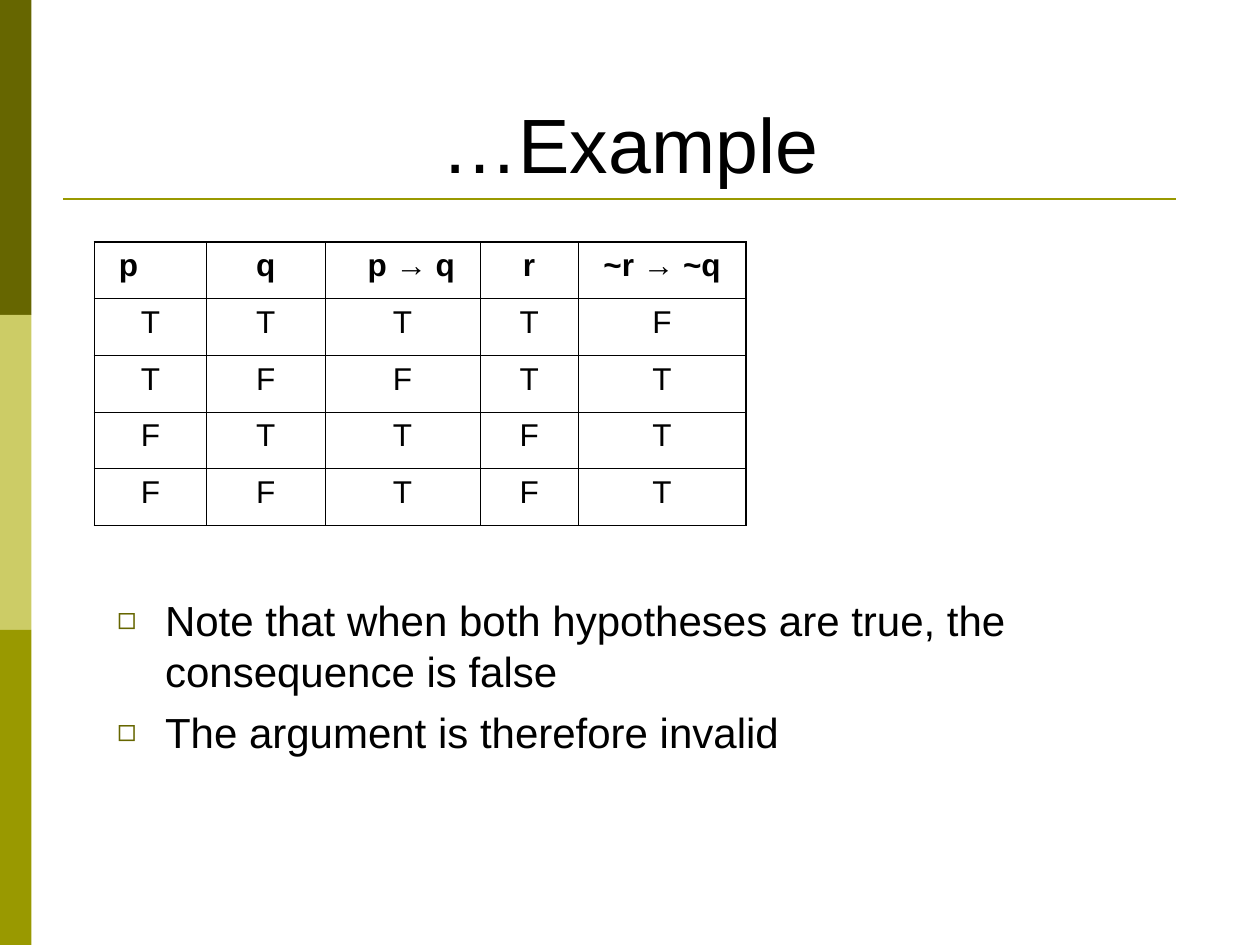
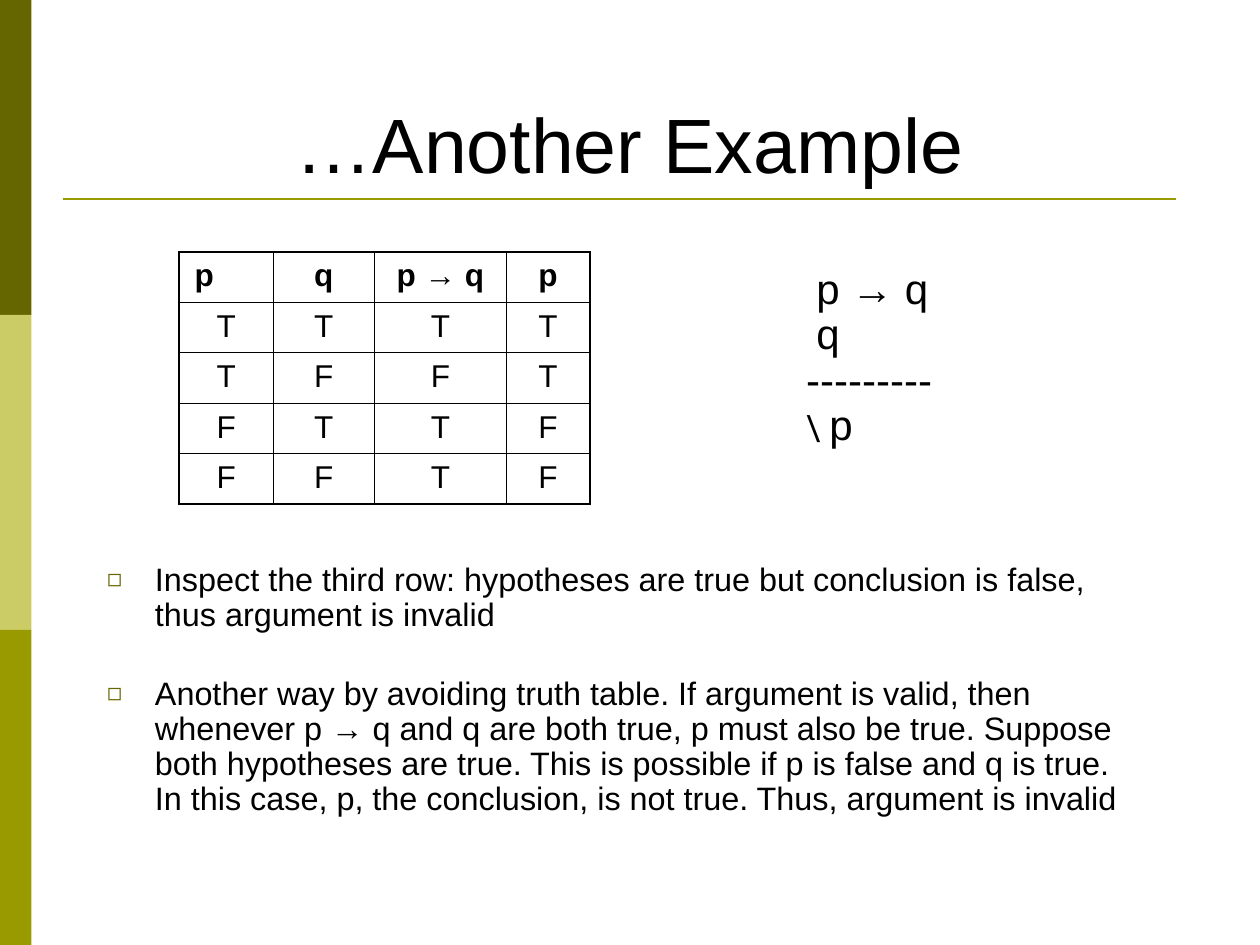
from lxml import etree
from pptx import Presentation
from pptx.dml.color import RGBColor
from pptx.enum.shapes import MSO_CONNECTOR as Connector, MSO_SHAPE as Shape
from pptx.enum.text import MSO_ANCHOR as Anchor, MSO_AUTO_SIZE as AutoSize, PP_ALIGN as Align
from pptx.oxml.ns import qn
from pptx.util import Inches, Pt

# Shared style
FONT, BLACK, OLIVE = "Arial", "000000", "999900"
BULLET_COLOR = "666600"
BANDS = ["666600", "CCCC66", OLIVE]
BAND_WIDTH, BAND_HEIGHT = 0.25, 2.5
TITLE_AREA = (0.5, 0.3, 9, 1.25)
HANGING = 0.38
OUTER_LINE, INNER_LINE = 1.08, 0.45
CELL_MARGIN = 0.1

# Content; "nudges" gives extra (left, right) margins for header cells by column
SLIDES = [
    {
        "title": "…Example",
        "table": {
            "corner": (0.75, 1.92),
            "widths": [0.89, 0.94, 1.23, 0.78, 1.33],
            "row_height": 0.45,
            "header": ["p", "q", "p → q", "r", "~r → ~q"],
            "rows": ["TTTTF", "TFFTT", "FTTFT", "FFTFT"],
            "nudges": {0: (0, 0.35), 2: (0.14, 0)},
        },
        "list": {
            "area": (0.83, 4.67, 8.42, 1.67),
            "size": 24, "line_spacing": 1, "gap": 6,
            "items": [
                "Note that when both hypotheses are true, the consequence is false",
                "The argument is therefore invalid",
            ],
        },
    },
    {
        "title": "…Another Example",
        "table": {
            "corner": (1.42, 2),
            "widths": [0.75, 0.8, 1.05, 0.66],
            "row_height": 0.4,
            "header": ["p", "q", "p → q", "p"],
            "rows": ["TTTT", "TFFT", "FTTF", "FFTF"],
            "nudges": {0: (0, 0.35)},
        },
        "list": {
            "area": (0.75, 4.42, 8.42, 2.75),
            "size": 18.5, "line_spacing": 0.9, "gap": 25,
            "items": [
                "Inspect the third row: hypotheses are true but conclusion is false, "
                "thus argument is invalid",
                "Another way by avoiding truth table. If argument is valid, then whenever "
                "p → q and q are both true, p must also be true. Suppose both hypotheses "
                "are true. This is possible if p is false and q is true. In this case, p, "
                "the conclusion, is not true. Thus, argument is invalid",
            ],
        },
        # Each line: indent, then spans of (text, font, size)
        "argument": {
            "area": (5.92, 2.08, 2.25, 1.83),
            "lines": [
                (0.46, [("p → q", FONT, 24)]),
                (0.46, [("q", FONT, 24)]),
                (0.38, [("---------", FONT, 24)]),
                (0.38, [("\\ ", "Roboto", 20), ("p", FONT, 24)]),
            ],
        },
    },
]


def rgb(color):
    return RGBColor.from_string(color)


def place(shape, area):
    shape.left, shape.top, shape.width, shape.height = map(Inches, area)


def set_font(font, size, name=FONT, bold=False):
    font.name, font.size, font.bold = name, Pt(size), bold
    font.color.rgb = rgb(BLACK)


def add_child(parent, tag, **attributes):
    return etree.SubElement(parent, qn(tag), **attributes)


def set_indent(para, left, first=0.0):
    properties = para._p.get_or_add_pPr()
    properties.set("marL", str(Inches(left)))
    properties.set("indent", str(Inches(first)))
    return properties


def add_bullet(para):
    properties = set_indent(para, HANGING, -HANGING)
    color = add_child(properties, "a:buClr")
    add_child(color, "a:srgbClr", val=BULLET_COLOR)
    add_child(properties, "a:buSzPct", val="75000")
    add_child(properties, "a:buChar", char="◻")


def add_frame(slide):
    # Side bands and the rule under the title
    for index, color in enumerate(BANDS):
        band = slide.shapes.add_shape(
            Shape.RECTANGLE, 0, Inches(index * BAND_HEIGHT),
            Inches(BAND_WIDTH), Inches(BAND_HEIGHT))
        band.shadow.inherit = False
        band.fill.solid()
        band.fill.fore_color.rgb = rgb(color)
        band.line.fill.background()
    rule = slide.shapes.add_connector(
        Connector.STRAIGHT, Inches(0.5), Inches(1.58), Inches(9.33), Inches(1.58))
    rule.line.color.rgb = rgb(OLIVE)
    rule.line.width = Pt(1.5)
    add_child(rule._element.spPr, "a:effectLst")


def add_title(slide, text):
    title = slide.shapes.title
    place(title, TITLE_AREA)
    frame = title.text_frame
    frame.text = text
    frame.auto_size = AutoSize.NONE
    frame.vertical_anchor = Anchor.BOTTOM
    para = frame.paragraphs[0]
    para.alignment = Align.CENTER
    set_font(para.font, 44)


def set_border(cell, side, width):
    line = add_child(cell._tc.get_or_add_tcPr(), f"a:ln{side}", w=str(Pt(width)))
    add_child(add_child(line, "a:solidFill"), "a:srgbClr", val=BLACK)


def add_truth_table(slide, content):
    rows = [content["header"], *content["rows"]]
    widths, height = content["widths"], content["row_height"]
    left, top = content["corner"]
    table = slide.shapes.add_table(
        len(rows), len(widths), Inches(left), Inches(top),
        Inches(sum(widths)), Inches(height * len(rows))).table
    for column, width in zip(table.columns, widths):
        column.width = Inches(width)
    for r, values in enumerate(rows):
        table.rows[r].height = Inches(height)
        for c, value in enumerate(values):
            cell = table.cell(r, c)
            cell.text = value
            nudge = content["nudges"].get(c, (0, 0)) if r == 0 else (0, 0)
            cell.margin_left, cell.margin_right = (
                Inches(CELL_MARGIN + extra) for extra in nudge)
            para = cell.text_frame.paragraphs[0]
            para.alignment = Align.CENTER
            set_font(para.font, 18, bold=r == 0)
            # Borders come before the fill in the cell properties
            edges = {"L": c == 0, "R": c == len(widths) - 1,
                     "T": r == 0, "B": r == len(rows) - 1}
            for side, is_outer in edges.items():
                set_border(cell, side, OUTER_LINE if is_outer else INNER_LINE)
            cell.fill.background()


def add_list(slide, content):
    body = slide.placeholders[1]
    place(body, content["area"])
    frame = body.text_frame
    frame.text = "\n".join(content["items"])
    frame.auto_size = AutoSize.NONE
    for index, para in enumerate(frame.paragraphs):
        add_bullet(para)
        para.line_spacing = content["line_spacing"]
        para.space_before = Pt(content["gap"] if index else 0)
        set_font(para.font, content["size"])


def add_argument(slide, content):
    box = slide.shapes.add_textbox(*map(Inches, content["area"]))
    frame = box.text_frame
    frame.word_wrap = True
    for index, (indent, spans) in enumerate(content["lines"]):
        para = frame.add_paragraph() if index else frame.paragraphs[0]
        set_indent(para, indent)
        para.line_spacing = 0.9
        for text, name, size in spans:
            span = para.add_run()
            span.text = text
            set_font(span.font, size, name)


def main():
    deck = Presentation()
    deck.slide_width, deck.slide_height = Inches(10), Inches(7.5)
    for content in SLIDES:
        slide = deck.slides.add_slide(deck.slide_layouts[1])
        add_frame(slide)
        add_title(slide, content["title"])
        add_truth_table(slide, content["table"])
        add_list(slide, content["list"])
        if "argument" in content:
            add_argument(slide, content["argument"])
    deck.save("out.pptx")


if __name__ == "__main__":
    main()
